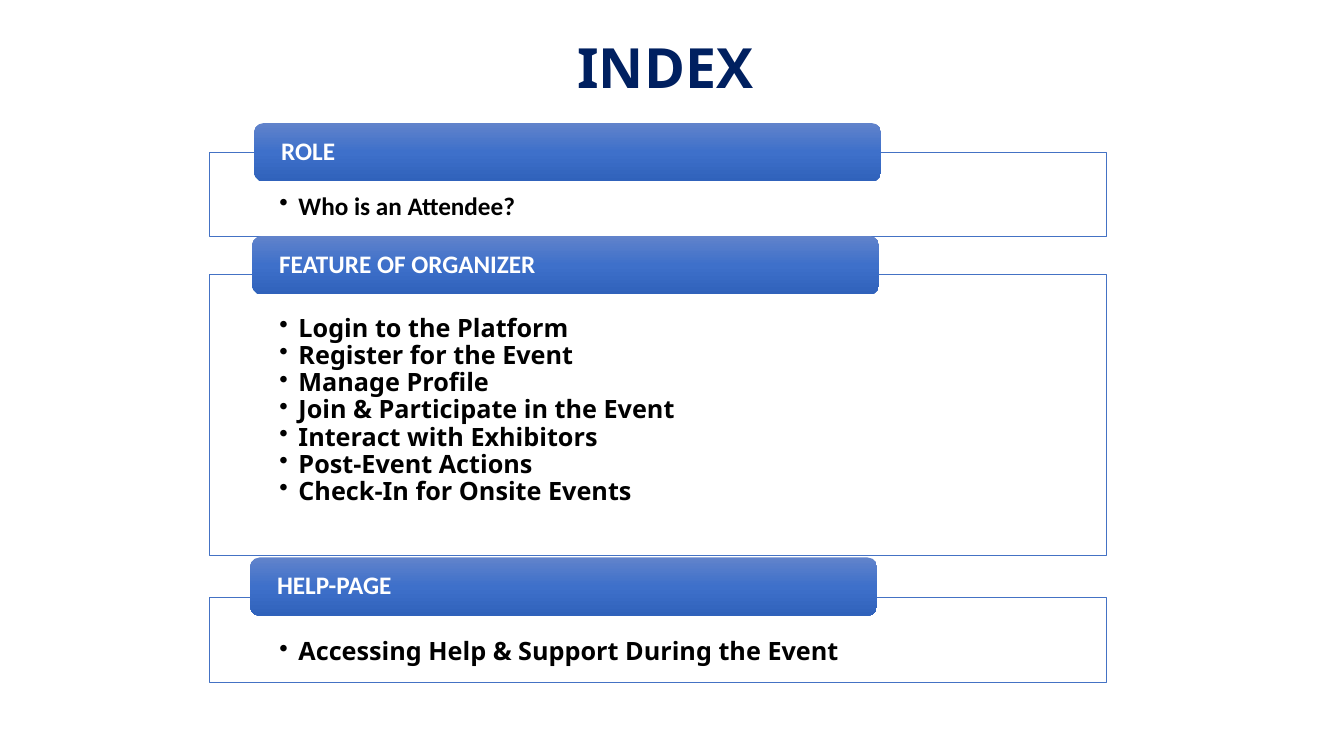
"""Builds the index slide: a title and three sections, each a header bar over a bulleted box."""
from copy import deepcopy
from pptx import Presentation
from pptx.dml.color import RGBColor
from pptx.enum.shapes import MSO_SHAPE
from pptx.enum.text import MSO_ANCHOR, PP_ALIGN
from pptx.oxml.ns import qn
from pptx.oxml.xmlchemy import OxmlElement
from pptx.util import Inches, Pt


def rgb(color):
    return RGBColor.from_string(color)


def write(sp, lines, align, size, font, color, anchor, insets):
    tf = sp.text_frame
    tf.word_wrap = True
    tf.vertical_anchor = anchor
    tf.margin_left = tf.margin_right = Inches(insets[0])
    tf.margin_top, tf.margin_bottom = Inches(insets[1]), Inches(insets[2])
    tf.text = "\n".join(lines)
    for p in tf.paragraphs:
        p.alignment = align
        p.line_spacing = 0.9
        p.font.size, p.font.name, p.font.bold = Pt(size), font, True
        p.font.color.rgb = rgb(color)
    return tf.paragraphs


prs = Presentation()
prs.slide_width, prs.slide_height = Inches(13.33), Inches(7.5)
s = prs.slides.add_slide(prs.slide_layouts[6])

title = s.shapes.add_textbox(Inches(0.92), Inches(0.45), Inches(11.5), Inches(0.49))
write(title, ["INDEX "], PP_ALIGN.CENTER, 39.6, "Noto Sans", "002060",
      MSO_ANCHOR.MIDDLE, (0.1, 0.05, 0.05))

sections = [
    ("ROLE", 2.52, 1.22, 1.51, 0.84, "Calibri", ["Who is an Attendee?"]),
    ("FEATURE OF ORGANIZER", 2.5, 2.34, 2.72, 2.79, "Noto Sans", [
        "Login to the Platform",
        "Register for the Event",
        "Manage Profile",
        "Join & Participate in the Event",
        "Interact with Exhibitors",
        "Post-Event Actions",
        "Check-In for Onsite Events",
    ]),
    ("HELP-PAGE", 2.48, 5.53, 5.93, 0.84, "Noto Sans",
     ["Accessing Help & Support During the Event"]),
]

for heading, left, top, box_top, box_height, font, items in sections:
    box = s.shapes.add_shape(MSO_SHAPE.RECTANGLE, Inches(2.08), Inches(box_top),
                             Inches(8.89), Inches(box_height))
    box.shadow.inherit = False
    box.fill.solid()
    box.fill.fore_color.rgb = rgb("FFFFFF")
    box.line.color.rgb = rgb("4472C4")
    box.line.width = Pt(0.5)
    for p in write(box, items, PP_ALIGN.LEFT, 18, font, "000000",
                   MSO_ANCHOR.TOP, (0.69, 0.41, 0.14)):
        pPr = p._p.get_or_add_pPr()
        pPr.set("marL", str(Inches(0.19)))
        pPr.set("indent", str(-Inches(0.19)))
        bullet = OxmlElement("a:buChar")
        bullet.set("char", "•")
        pPr.insert_element_before(bullet, "a:tabLst", "a:defRPr", "a:extLst")

    header = s.shapes.add_shape(MSO_SHAPE.ROUNDED_RECTANGLE, Inches(left), Inches(top),
                                Inches(6.22), Inches(0.58))
    header.shadow.inherit = False
    header.line.fill.background()
    header.fill.gradient()
    header.fill.gradient_angle = 270
    stops = header._element.spPr.find(qn("a:gradFill")).find(qn("a:gsLst"))
    stops.append(deepcopy(stops[0]))
    for stop, position, color in zip(header.fill.gradient_stops, (0, 0.5, 1),
                                     ("6183CB", "3E70CA", "3062BB")):
        stop.position = position
        stop.color.rgb = rgb(color)
    write(header, [heading], PP_ALIGN.LEFT, 18, "Calibri", "FFFFFF",
          MSO_ANCHOR.MIDDLE, (0.24, 0, 0))

prs.save("out.pptx")
